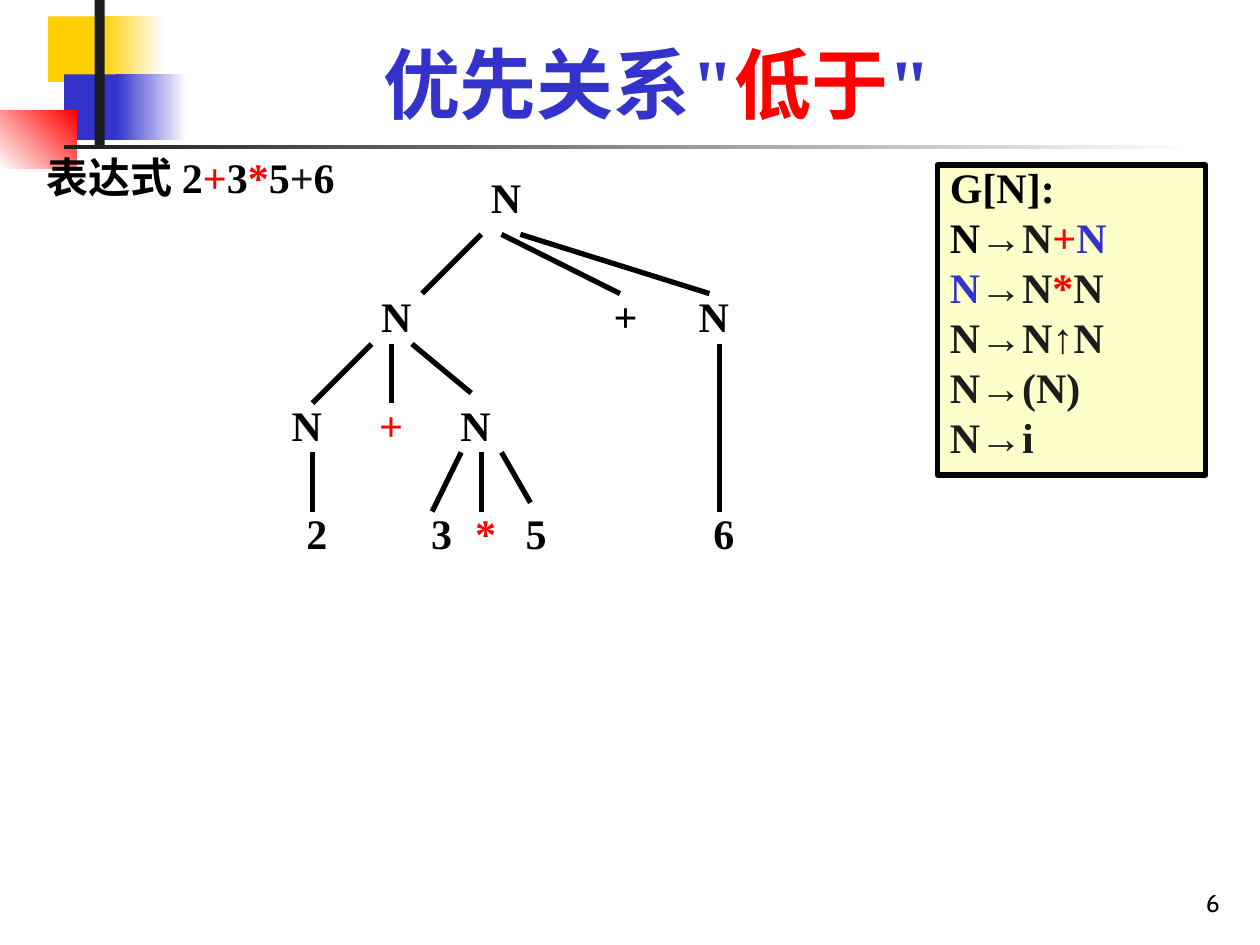
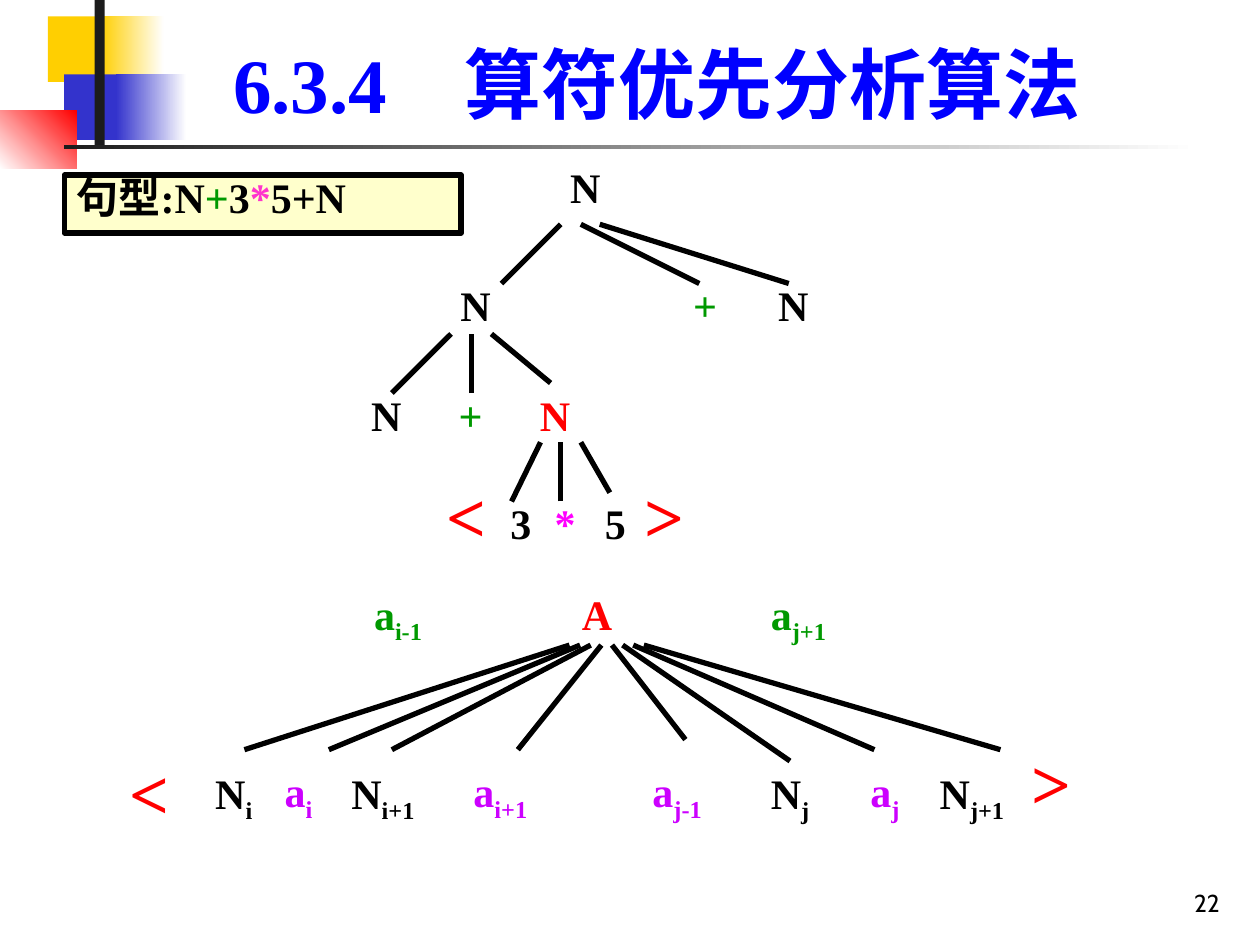
import pptx
import pptx.util
import pptx.dml.color
import pptx.enum.shapes
import pptx.enum.text
import pptx.oxml.ns
import lxml.etree

Inches, Pt = pptx.util.Inches, pptx.util.Pt
ALIGN = pptx.enum.text.PP_ALIGN
ANCHOR = pptx.enum.text.MSO_ANCHOR
RECTANGLE = pptx.enum.shapes.MSO_SHAPE.RECTANGLE

HEX = {
    "black": "000000", "white": "FFFFFF", "ink": "1C1C1C", "gold": "FFCF01",
    "indigo": "3333CC", "blue": "0000FF", "red": "FF0000", "green": "009900",
    "magenta": "FF00FF", "pink": "FF33CC", "violet": "CC00FF", "cream": "FFFFCC",
}
RGB = {name: pptx.dml.color.RGBColor.from_string(value) for name, value in HEX.items()}

TITLE = {"size": Pt(44), "bold": True, "name": "Times New Roman"}
BODY = {**TITLE, "size": Pt(24)}
RELATION = {**TITLE, "size": Pt(40)}
NUMBER = {"size": Pt(14), "bold": False, "name": "Cabin"}


def write(frame, paragraphs, font=BODY, align=ALIGN.LEFT, anchor=ANCHOR.TOP,
          spacing=0.8, before=0, wrap=True):
    """Fill a text frame; each run is (text, colour) or (text, colour, "sub")."""
    frame.word_wrap = wrap
    frame.auto_size = pptx.enum.text.MSO_AUTO_SIZE.NONE
    frame.vertical_anchor = anchor
    for i, runs in enumerate(paragraphs):
        paragraph = frame.add_paragraph() if i else frame.paragraphs[0]
        layout = {"alignment": align, "line_spacing": spacing, "space_before": Pt(before)}
        for key, value in layout.items():
            setattr(paragraph, key, value)
        for text, colour, *sub in runs:
            run = paragraph.add_run()
            run.text = text
            for key, value in font.items():
                setattr(run.font, key, value)
            run.font.color.rgb = RGB[colour]
            if sub:
                run._r.get_or_add_rPr().set("baseline", "-25000")


def branch(slide, start, end):
    """Draw one thick black branch of a tree."""
    line = slide.shapes.add_connector(
        pptx.enum.shapes.MSO_CONNECTOR.STRAIGHT, *map(Inches, (*start, *end)))
    line.line.color.rgb = RGB["black"]
    line.line.width = Pt(3)
    lxml.etree.SubElement(line._element.spPr, pptx.oxml.ns.qn("a:effectLst"))


prs = pptx.Presentation()
prs.slide_width, prs.slide_height = Inches(10), Inches(7.5)

# Slides with their titles and numbers
headings = [
    ("6", [('优先关系"', "indigo"), ("低于", "red"), ('"', "indigo")]),
    ("22", [("6.3.4　算符优先分析算法", "blue")]),
]
for number, heading in headings:
    slide = prs.slides.add_slide(prs.slide_layouts[5])
    title = slide.shapes.title
    title.left, title.top, title.width, title.height = map(Inches, (1.26, 0.23, 7.91, 0.84))
    write(title.text_frame, [heading], TITLE, ALIGN.CENTER, ANCHOR.BOTTOM, spacing=1)
    page = slide.shapes.add_textbox(*map(Inches, (7.7, 6.83, 2.08, 0.5)))
    write(page.text_frame, [[(number, "black")]], NUMBER, ALIGN.RIGHT, ANCHOR.BOTTOM, spacing=1)
precedence, algorithm = prs.slides

# Corner blocks and rules, moved to the master: place, colours, gradient angle
decoration = [
    ((0.38, 0.13, 0.67, 0.52), ["gold"], 0),
    ((0.8, 0.13, 0.5, 0.52), ["gold", "white"], 0),
    ((0.51, 0.59, 0.64, 0.52), ["indigo"], 0),
    ((0.92, 0.59, 0.56, 0.52), ["indigo", "white"], 0),
    ((0, 0.88, 0.61, 0.46), ["white", "red"], 45),
    ((0.75, 0, 0.08, 1.15), ["ink"], 0),
    ((0.51, 1.15, 9, 0.03), ["ink", "white"], 0),
]
for i, (place, colours, angle) in enumerate(decoration):
    block = precedence.shapes.add_shape(RECTANGLE, *map(Inches, place))
    block.shadow.inherit = False
    block.line.fill.background()
    if len(colours) == 1:
        block.fill.solid()
        block.fill.fore_color.rgb = RGB[colours[0]]
    else:
        block.fill.gradient()
        block.fill.gradient_angle = angle
        for stop, position, colour in zip(block.fill.gradient_stops, (0, 1), colours):
            stop.position = position
            stop.color.rgb = RGB[colour]
    block._element.nvSpPr.cNvPr.set("id", str(100 + i))
    prs.slide_master.shapes._spTree.append(block._element)

# Framed panels: the grammar and the sentential form
grammar = [
    [("G[N]:", "black")],
    [("N", "black"), ("→N", "ink"), ("+", "red"), ("N", "indigo")],
    [("N", "indigo"), ("→N", "ink"), ("*", "red"), ("N", "ink")],
    [("N→N↑N", "ink")],
    [("N→(N)", "ink")],
    [("N→i", "ink")],
]
sentential_form = [[("句型:N", "black"), ("+", "green"), ("3", "black"),
                    ("*", "pink"), ("5+N", "black")]]
panels = [
    (precedence, (7.44, 1.31, 2.13, 2.46), grammar),
    (algorithm, (0.51, 1.39, 3.15, 0.46), sentential_form),
]
for slide, place, lines in panels:
    panel = slide.shapes.add_shape(RECTANGLE, *map(Inches, place))
    panel.shadow.inherit = False
    panel.fill.solid()
    panel.fill.fore_color.rgb = RGB["cream"]
    panel.line.color.rgb = RGB["black"]
    panel.line.width = Pt(3)
    write(panel.text_frame, lines, before=5.5)

# Expression above the first tree
expression = precedence.shapes.add_textbox(*map(Inches, (0.27, 1.23, 9.73, 0.47)))
write(expression.text_frame, [[("表达式 2", "black"), ("+", "red"), ("3", "black"),
                               ("*", "red"), ("5", "black"), ("+", "ink"), ("6", "black")]])

# Syntax tree shared by both slides: label, left, top, width, colour on each slide
tree_nodes = [
    ("N", 3.82, 1.39, 0.39, "black", "black"),
    ("N", 2.95, 2.33, 0.39, "black", "black"),
    ("+", 4.69, 2.33, 0.55, "black", "green"),
    ("N", 5.47, 2.33, 0.39, "black", "black"),
    ("N", 2.24, 3.2, 0.39, "black", "black"),
    ("+", 2.87, 3.2, 0.47, "red", "green"),
    ("N", 3.58, 3.2, 0.39, "black", "red"),
    ("3", 3.27, 4.06, 0.47, "black", "black"),
    ("*", 3.66, 4.06, 0.39, "red", "magenta"),
    ("5", 3.98, 4.06, 0.55, "black", "black"),
    ("2", 2.24, 4.06, 0.55, "black", None),
    ("6", 5.55, 4.06, 0.39, "black", None),
]
tree_branches = [
    ((3.35, 2.33), (3.82, 1.86)), ((4.92, 2.33), (3.98, 1.86)), ((5.63, 2.33), (4.13, 1.86)),
    ((2.48, 3.2), (2.95, 2.73)), ((3.11, 3.2), (3.11, 2.73)), ((3.74, 3.12), (3.27, 2.73)),
    ((3.43, 4.06), (3.66, 3.59)), ((3.82, 4.06), (3.82, 3.59)), ((4.21, 3.99), (3.98, 3.59)),
]
for i, (slide, dx, dy) in enumerate([(precedence, 0, 0), (algorithm, 0.63, -0.08)]):
    for (x1, y1), (x2, y2) in tree_branches:
        branch(slide, (x1 + dx, y1 + dy), (x2 + dx, y2 + dy))
    for label, left, top, width, *colours in tree_nodes:
        if colours[i]:
            node = slide.shapes.add_textbox(*map(Inches, (left + dx, top + dy, width, 0.42)))
            write(node.text_frame, [[(label, colours[i])]], align=ALIGN.CENTER, wrap=False)

# Branches to the leaves 2 and 6
branch(precedence, (2.48, 4.06), (2.48, 3.59))
branch(precedence, (5.71, 4.06), (5.71, 2.73))

# General phrase: symbol, subscript, colour, left, top, width
phrase = [
    ("N", "i", "black", 1.61, 6.04, 0.58),
    ("N", "j", "black", 6.02, 6.04, 0.58),
    ("N", "i+1", "black", 2.69, 6.04, 0.92),
    ("N", "j+1", "black", 7.36, 6.04, 0.92),
    ("a", "i-1", "green", 2.87, 4.62, 0.75),
    ("a", "i", "violet", 2.16, 6.03, 0.58),
    ("a", "i+1", "violet", 3.66, 6.03, 0.83),
    ("a", "j-1", "violet", 5.08, 6.03, 0.75),
    ("a", "j", "violet", 6.81, 6.03, 0.58),
    ("a", "j+1", "green", 6.02, 4.62, 0.92),
    ("A", "", "red", 4.52, 4.62, 0.58),
]
for letter, subscript, colour, left, top, width in phrase:
    symbol = algorithm.shapes.add_textbox(*map(Inches, (left, top, width, 0.5)))
    symbol.fill.solid()
    symbol.fill.fore_color.rgb = RGB["white"]
    runs = [(letter, colour)]
    if subscript:
        runs.append((subscript, colour, "sub"))
    write(symbol.text_frame, [runs], spacing=1)

# Fan of branches from A, starting at equal gaps
fan_ends = [(1.94, 5.95), (2.61, 5.95), (3.11, 5.95), (4.11, 5.95),
            (5.44, 5.87), (6.27, 6.04), (6.94, 5.95), (7.94, 5.95)]
for i, end in enumerate(fan_ends):
    branch(algorithm, end, (4.52 + i * 0.59 / 7, 5.12))

# Precedence relations around the phrases
for relation, left, top in [("<", 3.35, 3.83), (">", 4.92, 3.83),
                            (">", 7.99, 5.95), ("<", 0.83, 6.03)]:
    mark = algorithm.shapes.add_textbox(*map(Inches, (left, top, 0.71, 0.63)))
    write(mark.text_frame, [[(relation, "red")]], RELATION, ALIGN.CENTER, wrap=False)

prs.save("out.pptx")
